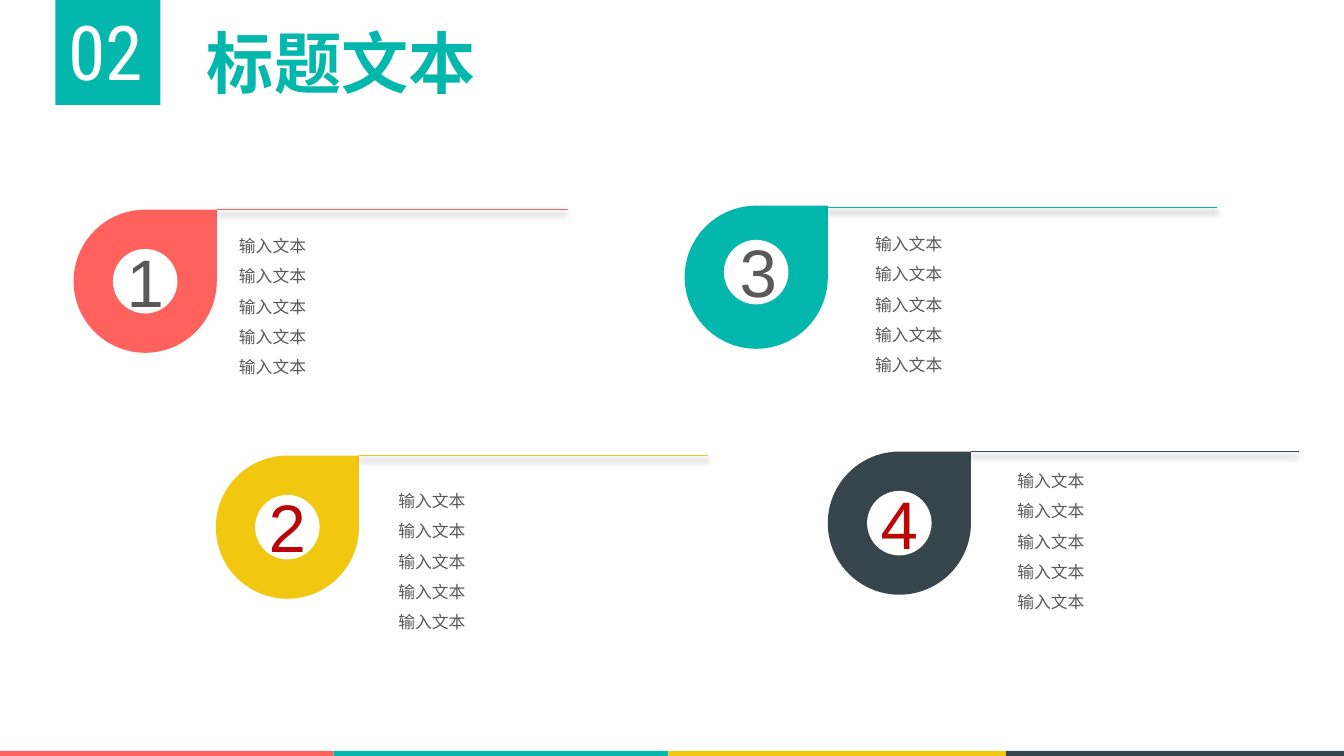
from dataclasses import dataclass

from lxml.etree import SubElement
from pptx import Presentation
from pptx.dml.color import RGBColor
from pptx.enum.shapes import MSO_CONNECTOR, MSO_SHAPE
from pptx.enum.text import MSO_ANCHOR, MSO_AUTO_SIZE, PP_ALIGN
from pptx.oxml import parse_xml
from pptx.oxml.ns import nsdecls, qn
from pptx.util import Inches, Pt


@dataclass(frozen=True)
class Theme:
    coral: str = "FF625D"
    teal: str = "03B7AC"
    yellow: str = "F1C70F"
    slate: str = "37464D"
    white: str = "FFFFFF"
    grey: str = "595959"
    red: str = "B90707"
    chinese: str = "Noto Sans CJK SC"
    digits: str = "Arial"
    condensed: str = "Roboto Condensed"
    section_size: int = 54
    title_size: int = 48
    number_size: int = 48
    list_size: int = 12
    title_leading: int = 62
    list_leading: float = 21.6


theme = Theme()
CELL = Inches(0.1)  # grid step: all positions below are columns and rows


def add_plain_shape(page, kind, bounds, color):
    shape = page.shapes.add_shape(kind, *[round(CELL * value) for value in bounds])
    shape.shadow.inherit = False
    shape.fill.solid()
    shape.fill.fore_color.rgb = RGBColor.from_string(color)
    shape.line.fill.background()
    return shape


def write_text(box, bounds, text, font, size, color, align, bold=False, leading=None):
    box.left, box.top, box.width, box.height = [round(CELL * value) for value in bounds]
    frame = box.text_frame
    frame.text = text
    frame.word_wrap = True
    frame.auto_size = MSO_AUTO_SIZE.NONE
    frame.vertical_anchor = MSO_ANCHOR.TOP
    for para in frame.paragraphs:
        para.alignment = align
        para.space_before = Pt(0)
        if leading:
            para.line_spacing = Pt(leading)
        for span in para.runs:
            span.font.size = Pt(size)
            span.font.bold = bold
            span.font.color.rgb = RGBColor.from_string(color)
            span.font.name = font
            SubElement(span.font._element, qn("a:ea"), typeface=font)


deck = Presentation()
deck.slide_width, deck.slide_height = Inches(13.33), Inches(7.5)
page = deck.slides.add_slide(deck.slide_layouts.get_by_name("Comparison"))

# Colour strip along the bottom
edges = [0, 33.1, 66.3, 99.8, 133.3]
strip_colors = [theme.coral, theme.teal, theme.yellow, theme.slate]
for left, right, color in zip(edges, edges[1:], strip_colors):
    add_plain_shape(page, MSO_SHAPE.RECTANGLE, (left, 74.5, right - left, 0.5), color)

# Section number and title
add_plain_shape(page, MSO_SHAPE.RECTANGLE, (5.5, 0, 10.4, 10.4), theme.teal)
section = page.shapes.add_textbox(0, 0, 0, 0)
write_text(section, (5.3, 0, 10.4, 10.1), "02", theme.condensed,
           theme.section_size, theme.white, PP_ALIGN.CENTER)
write_text(page.shapes.title, (6.6, 1, 54.5, 9.1), "标题文本", theme.chinese,
           theme.title_size, theme.teal, PP_ALIGN.CENTER, True, theme.title_leading)

# Four numbered drops: colour, number colour, drop, ring, digit, rule and list positions
DROP, RING = 14.2, 6.4
items = [
    (theme.coral, theme.grey, (7.3, 20.8), (11.2, 24.7), (11, 23.3), (20.8, 56.3), (22.7, 21.9)),
    (theme.yellow, theme.red, (21.4, 45.2), (25.3, 49.1), (25.1, 47.7), (45.2, 70.2), (38.5, 47.2)),
    (theme.teal, theme.grey, (67.9, 20.4), (71.8, 23.8), (71.8, 22.4), (20.6, 120.7), (85.8, 21.7)),
    (theme.slate, theme.red, (82.1, 44.8), (86, 48.7), (85.8, 47.4), (44.8, 128.8), (99.9, 45.2)),
]
for number, item in enumerate(items, start=1):
    color, number_color, drop, ring, digit, (rule_row, rule_end), notes = item
    add_plain_shape(page, MSO_SHAPE.TEAR, (*drop, DROP, DROP), color)
    add_plain_shape(page, MSO_SHAPE.OVAL, (*ring, RING, RING), theme.white)
    number_box = page.shapes.add_textbox(0, 0, 0, 0)
    write_text(number_box, (*digit, 6.8, 9.1), str(number), theme.digits,
               theme.number_size, number_color, PP_ALIGN.CENTER)

    # Rule with a soft shadow below it
    ends = (drop[0] + DROP, rule_row, rule_end, rule_row)
    rule = page.shapes.add_connector(
        MSO_CONNECTOR.STRAIGHT, *[round(CELL * value) for value in ends])
    rule.line.color.rgb = RGBColor.from_string(color)
    rule.line.width = Pt(1)
    rule._element.spPr.append(parse_xml(
        f'<a:effectLst {nsdecls("a")}><a:outerShdw blurRad="{Pt(4)}" dist="{Pt(3)}" '
        'dir="5400000" rotWithShape="0"><a:srgbClr val="000000"><a:alpha val="40000"/>'
        '</a:srgbClr></a:outerShdw></a:effectLst>'))

    # Five-line list without bullets
    box = page.placeholders[number]
    write_text(box, (*notes, 20.7, 16.2), "\n".join(["输入文本"] * 5), theme.chinese,
               theme.list_size, theme.grey, PP_ALIGN.LEFT, leading=theme.list_leading)
    for para in box.text_frame.paragraphs:
        properties = para._p.get_or_add_pPr()
        properties.set("marL", "0")
        properties.set("indent", "0")
        SubElement(properties, qn("a:buNone"))

deck.save("out.pptx")
